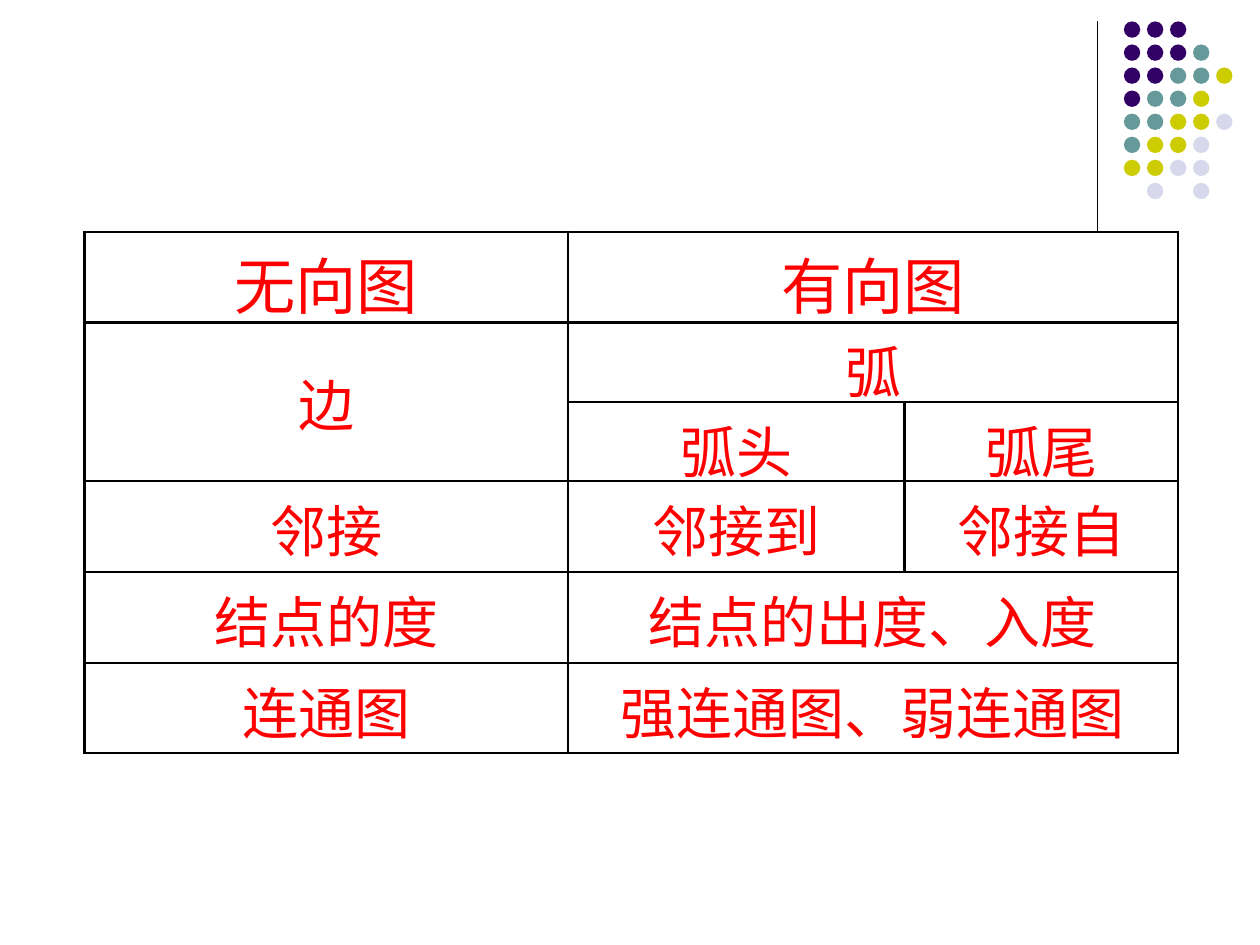
from typing import NamedTuple

from lxml.etree import SubElement
from pptx import Presentation
from pptx.dml.color import RGBColor
from pptx.enum.shapes import MSO_CONNECTOR as Link, MSO_SHAPE as Shape
from pptx.enum.text import MSO_ANCHOR as Anchor, PP_ALIGN as Align
from pptx.oxml.ns import qn
from pptx.util import Inches, Pt

BLACK = RGBColor(0x00, 0x00, 0x00)
RED = RGBColor(0xFF, 0x00, 0x00)
PURPLE = RGBColor(0x33, 0x00, 0x66)
TEAL = RGBColor(0x66, 0x99, 0x99)
OLIVE = RGBColor(0xCC, 0xCC, 0x00)
PALE = RGBColor(0xD8, 0xD8, 0xEC)
FONT = "Noto Sans CJK SC"

# Dot pattern: one letter per dot, a space for a gap
HUES = {"P": PURPLE, "T": TEAL, "O": OLIVE, "L": PALE}
DOTS = ["PPP", "PPPT", "PPTTO", "PTTO", "TTOOL", "TOOL", "OOLL", " L L"]
PITCH = 0.183
SIZE = 0.13

COLS = [3.84, 2.67, 2.17]
ROWS = [0.72, 0.63, 0.63, 0.72, 0.72, 0.72]


class Entry(NamedTuple):
    row: int
    col: int
    text: str
    down: int = 1
    across: int = 1
    size: int = 32


ENTRIES = [
    Entry(0, 0, "无向图", size=35),
    Entry(0, 1, "有向图", across=2, size=35),
    Entry(1, 0, "边", down=2),
    Entry(1, 1, "弧", across=2),
    Entry(2, 1, "弧头"),
    Entry(2, 2, "弧尾"),
    Entry(3, 0, "邻接"),
    Entry(3, 1, "邻接到"),
    Entry(3, 2, "邻接自"),
    Entry(4, 0, "结点的度"),
    Entry(4, 1, "结点的出度、入度", across=2),
    Entry(5, 0, "连通图"),
    Entry(5, 1, "强连通图、弱连通图", across=2),
]


def draw_rule(slide) -> None:
    rule = slide.shapes.add_connector(
        Link.STRAIGHT, Inches(8.71), Inches(0.17), Inches(8.71), Inches(1.83))
    rule.line.color.rgb = BLACK
    rule.line.width = Pt(0.75)
    SubElement(rule._element.spPr, qn("a:effectLst"))


def draw_dot(slide, left: float, top: float, hue: RGBColor) -> None:
    dot = slide.shapes.add_shape(
        Shape.OVAL, Inches(left), Inches(top), Inches(SIZE), Inches(SIZE))
    dot.shadow.inherit = False
    dot.fill.solid()
    dot.fill.fore_color.rgb = hue
    dot.line.fill.background()


def style_cell(cell) -> None:
    props = cell._tc.get_or_add_tcPr()
    for side in ("lnL", "lnR", "lnT", "lnB"):
        line = SubElement(props, qn(f"a:{side}"), w=str(Pt(1.47)))
        fill = SubElement(line, qn("a:solidFill"))
        SubElement(fill, qn("a:srgbClr"), val=str(BLACK))
    cell.fill.background()


def fill_cell(table, entry: Entry) -> None:
    cell = table.cell(entry.row, entry.col)
    if entry.down > 1 or entry.across > 1:
        cell.merge(table.cell(entry.row + entry.down - 1,
                              entry.col + entry.across - 1))
    if entry.down > 1:
        cell.vertical_anchor = Anchor.MIDDLE
    else:
        # Lets the tall line box fit the short rows
        cell.margin_bottom = Inches(-0.08)
    para = cell.text_frame.paragraphs[0]
    para.text = entry.text
    para.alignment = Align.CENTER
    para.font.size = Pt(entry.size)
    para.font.color.rgb = RED
    para.font.name = FONT
    props = para._p.get_or_add_pPr().find(qn("a:defRPr"))
    SubElement(props, qn("a:ea"), typeface=FONT)


def draw_table(slide) -> None:
    table = slide.shapes.add_table(
        len(ROWS), len(COLS), Inches(0.67), Inches(1.84),
        Inches(sum(COLS)), Inches(sum(ROWS))).table
    table.first_row = table.horz_banding = False
    for col, width in zip(table.columns, COLS):
        col.width = Inches(width)
    for row, height in zip(table.rows, ROWS):
        row.height = Inches(height)
    for cell in table.iter_cells():
        style_cell(cell)
    for entry in ENTRIES:
        fill_cell(table, entry)


def main() -> None:
    deck = Presentation()
    deck.slide_width, deck.slide_height = Inches(10), Inches(7.5)
    slide = deck.slides.add_slide(deck.slide_layouts[6])

    # Corner ornament
    draw_rule(slide)
    for row, marks in enumerate(DOTS):
        for col, mark in enumerate(marks):
            if mark in HUES:
                draw_dot(slide, 8.92 + col * PITCH, 0.17 + row * PITCH,
                         HUES[mark])

    # Comparison of terms
    draw_table(slide)
    deck.save("out.pptx")


if __name__ == "__main__":
    main()
